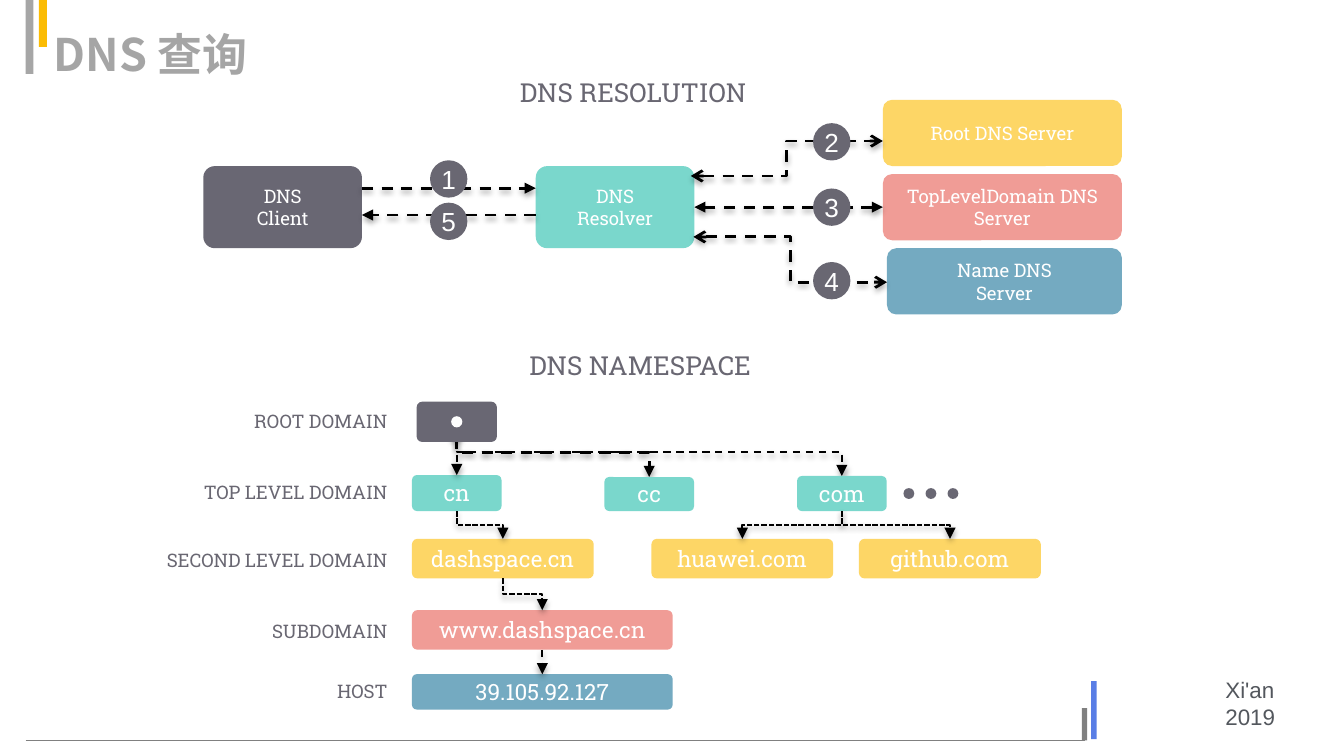
from lxml import etree
from pptx import Presentation
from pptx.dml.color import RGBColor
from pptx.enum.dml import MSO_LINE
from pptx.enum.shapes import MSO_CONNECTOR, MSO_SHAPE
from pptx.enum.text import MSO_ANCHOR, MSO_AUTO_SIZE, PP_ALIGN
from pptx.oxml.ns import qn
from pptx.util import Pt

RECTANGLE, ROUNDED, OVAL = MSO_SHAPE.RECTANGLE, MSO_SHAPE.ROUNDED_RECTANGLE, MSO_SHAPE.OVAL
STRAIGHT, ELBOW = MSO_CONNECTOR.STRAIGHT, MSO_CONNECTOR.ELBOW
DASH, SHORT_DASH = MSO_LINE.DASH, MSO_LINE.SQUARE_DOT
LEFT, CENTER, RIGHT = PP_ALIGN.LEFT, PP_ALIGN.CENTER, PP_ALIGN.RIGHT
MIDDLE, NO_AUTOFIT = MSO_ANCHOR.MIDDLE, MSO_AUTO_SIZE.NONE
TOP_SIDE, LEFT_SIDE, BOTTOM_SIDE, RIGHT_SIDE = range(4)

SERIF, SANS, TITLE_FONT = "Roboto Slab", "Arial", "Noto Sans CJK SC"
SLATE, LABEL, TEAL, YELLOW = "696773", "696772", "7AD7CC", "FDD666"
PINK, BLUE, WHITE, BLACK, GRAY = "F09C96", "74AAC1", "FFFFFF", "000000", "808080"


def color(value):
    """Turn a hex string into a colour."""
    return RGBColor.from_string(value)


class DnsSlide:
    """Hold the slide and draw its elements in one style."""

    def __init__(self, presentation):
        """Add a title-only slide."""
        self.slide = presentation.slides.add_slide(presentation.slide_layouts[5])
        self.shapes = self.slide.shapes

    def fill_frame(self, frame, text, size, font, ink, align, bold=False):
        """Fill a text frame with evenly formatted paragraphs."""
        frame.word_wrap = True
        frame.text = text
        for paragraph in frame.paragraphs:
            paragraph.alignment = align
            paragraph.font.size = Pt(size)
            paragraph.font.bold = bold
            paragraph.font.name = font
            paragraph.font.color.rgb = color(ink)

    def title(self, text, left, top, width, height):
        """Move and format the title placeholder."""
        title = self.shapes.title
        title.left, title.top, title.width, title.height = map(Pt, (left, top, width, height))
        frame = title.text_frame
        frame.auto_size = NO_AUTOFIT
        frame.vertical_anchor = MIDDLE
        frame.margin_left = Pt(28.8)
        frame.margin_right = frame.margin_top = frame.margin_bottom = 0
        self.fill_frame(frame, text, 24, TITLE_FONT, "A5A5A5", LEFT, True)

    def text(self, text, left, top, width, height, size, font=SERIF, ink=LABEL, align=LEFT):
        """Add a text box."""
        box = self.shapes.add_textbox(Pt(left), Pt(top), Pt(width), Pt(height))
        self.fill_frame(box.text_frame, text, size, font, ink, align)

    def shape(self, kind, fill, left, top, width, height, text="", size=12, font=SERIF):
        """Add a filled shape with centred white text."""
        shape = self.shapes.add_shape(kind, Pt(left), Pt(top), Pt(width), Pt(height))
        shape.shadow.inherit = False
        shape.fill.solid()
        shape.fill.fore_color.rgb = color(fill)
        shape.line.fill.background()
        if kind == ROUNDED:
            shape.adjustments[0] = 0.14
        if text:
            frame = shape.text_frame
            frame.margin_left = frame.margin_right = frame.margin_top = frame.margin_bottom = 0
            frame.vertical_anchor = MIDDLE
            self.fill_frame(frame, text, size, font, WHITE, CENTER)
        return shape

    def number(self, text, left, top):
        """Add a numbered step circle."""
        self.shape(OVAL, LABEL, left, top, 20, 20, text, 14, SANS)

    def line(self, start, end, width=1.5, dash=DASH, head=None, tail="triangle",
             kind=STRAIGHT, ink=BLACK, shadow=True):
        """Add a connector with optional arrowheads and a soft shadow."""
        connector = self.shapes.add_connector(kind, *map(Pt, (*start, *end)))
        connector.line.width = Pt(width)
        connector.line.color.rgb = color(ink)
        if dash:
            connector.line.dash_style = dash
        properties = connector._element.spPr
        outline = properties.find(qn("a:ln"))
        for tag, arrow in (("a:headEnd", head), ("a:tailEnd", tail)):
            if arrow:
                etree.SubElement(outline, qn(tag), type=arrow)
        effects = etree.SubElement(properties, qn("a:effectLst"))
        if shadow:
            outer = etree.SubElement(effects, qn("a:outerShdw"), blurRad=str(Pt(3.1)),
                                     dist=str(Pt(1.8)), dir="5400000", rotWithShape="0")
            tint = etree.SubElement(outer, qn("a:srgbClr"), val=BLACK)
            etree.SubElement(tint, qn("a:alpha"), val="35000")
        return connector

    def branch(self, start, end, **style):
        """Add an elbow that leaves downwards, as a quarter-turned connector."""
        (x1, y1), (x2, y2) = start, end
        middle_x, middle_y = (x1 + x2) / 2, (y1 + y2) / 2
        half_x, half_y = (x2 - x1) / 2, (y2 - y1) / 2
        connector = self.line((middle_x - half_y, middle_y + half_x),
                              (middle_x + half_y, middle_y - half_x), kind=ELBOW, **style)
        connector._element.spPr.find(qn("a:xfrm")).set("rot", "5400000")

    def link(self, first, first_side, second, second_side, **style):
        """Join two shapes with a straight connector."""
        connector = self.line((0, 0), (0, 0), **style)
        connector.begin_connect(first, first_side)
        connector.end_connect(second, second_side)


def draw_frame(page):
    """Draw the title, accent bars and footer."""
    for fill, *place in (("597EE6", 584.6, 365, 2.9, 31), (GRAY, 579.6, 379.4, 2.9, 17.3),
                         ("FBBC04", 20.9, 0, 4.3, 25.2), ("A6A6A6", 13.7, 0, 4.3, 39.6)):
        page.shape(RECTANGLE, fill, *place)
    page.text("Xi'an 2019", 649.4, 358.6, 69.1, 21.6, 12, SANS, "53575D")
    page.line((13.7, 396.7), (581, 396.7), 0.25, None, tail=None, ink=GRAY, shadow=False)
    page.title("DNS 查询", 0, 5.8, 276.5, 46)


def draw_resolution(page):
    """Draw the resolver, its client and the three servers."""
    page.text("DNS RESOLUTION", 271.4, 37.4, 176.4, 28.8, 14)
    page.shape(ROUNDED, SLATE, 108.9, 89, 85, 44, "DNS\nClient", 10)
    resolver = page.shape(ROUNDED, TEAL, 287, 89, 85, 44, "DNS\nResolver", 10)
    servers = [
        page.shape(ROUNDED, fill, left, 53.5 + 39.75 * row, 601 - left, 35.5, text, 10)
        for row, (fill, left, text) in enumerate((
            (YELLOW, 473, "Root DNS Server"),
            (PINK, 473, "TopLevelDomain DNS\nServer"),
            (BLUE, 475.2, "Name DNS\nServer")))]
    page.line((193.9, 100.8), (287, 100.8))
    page.line((287, 115.2), (193.9, 115.2))
    for start, end in (((370.1, 94.3), (473, 75.6)), ((371.5, 126.9), (475.2, 151.2))):
        page.line(start, end, head="arrow", tail="arrow", kind=ELBOW)
    page.link(servers[1], LEFT_SIDE, resolver, RIGHT_SIDE, head="triangle")
    for text, left, top in (("1", 230.4, 85.9), ("5", 230.4, 108.6), ("2", 435.6, 66),
                            ("3", 435.6, 101), ("4", 435.6, 140.4)):
        page.number(text, left, top)


def draw_namespace(page):
    """Draw the domain tree with its level labels."""
    left, root_x, com_x = 220.7, 244.7, 451
    page.branch((root_x, 229), (347.8, 255.6), head="triangle")
    page.branch((root_x, 229), (com_x, 255), width=1, head="triangle")
    page.text("DNS NAMESPACE", 276.5, 183.6, 176.4, 19.4, 14)
    for text, top in (("ROOT DOMAIN", 216), ("TOP LEVEL DOMAIN", 254.2),
                      ("SECOND LEVEL DOMAIN", 290.6), ("SUBDOMAIN", 328.8), ("HOST", 360.9)):
        page.text(text, 6.5, top, 208.1, 19.4, 10, align=RIGHT)

    root = page.shape(ROUNDED, SLATE, root_x - 21.5, 215.2, 43, 21.6)
    page.shape(OVAL, WHITE, root_x - 3, 223, 6, 6)
    country, *_ = [
        page.shape(ROUNDED, TEAL, x - 24, top, 48, 273.8 - top, text)
        for text, x, top in (("cn", root_x, 254.5), ("cc", 347.8, 255.6), ("com", com_x, 255))]
    for index in range(3):
        page.shape(OVAL, SLATE, 484 + 11.8 * index, 261.5, 5.8, 5.8)
    for text, box_left in (("dashspace.cn", left), ("huawei.com", 349), ("github.com", 460.2)):
        page.shape(ROUNDED, YELLOW, box_left, 288.7, 97.4, 21.2, text)
    subdomain = page.shape(ROUNDED, PINK, left, 326.9, 139.7, 21.2, "www.dashspace.cn")
    host = page.shape(ROUNDED, BLUE, left, 361.2, 139.7, 19, "39.105.92.127")

    page.link(root, BOTTOM_SIDE, country, TOP_SIDE, width=1)
    page.link(subdomain, BOTTOM_SIDE, host, TOP_SIDE, width=1)
    for start, end in (((root_x, 273.8), (269.4, 288.7)), ((com_x, 273.8), (397.7, 288.7)),
                       ((com_x, 273.8), (508.9, 288.7)), ((269.4, 309.9), (290.55, 326.9))):
        page.branch(start, end, width=1, dash=SHORT_DASH)


def main():
    """Build and save the presentation."""
    presentation = Presentation()
    presentation.slide_width, presentation.slide_height = Pt(720), Pt(405)
    page = DnsSlide(presentation)
    draw_frame(page)
    draw_resolution(page)
    draw_namespace(page)
    presentation.save("out.pptx")


if __name__ == "__main__":
    main()
